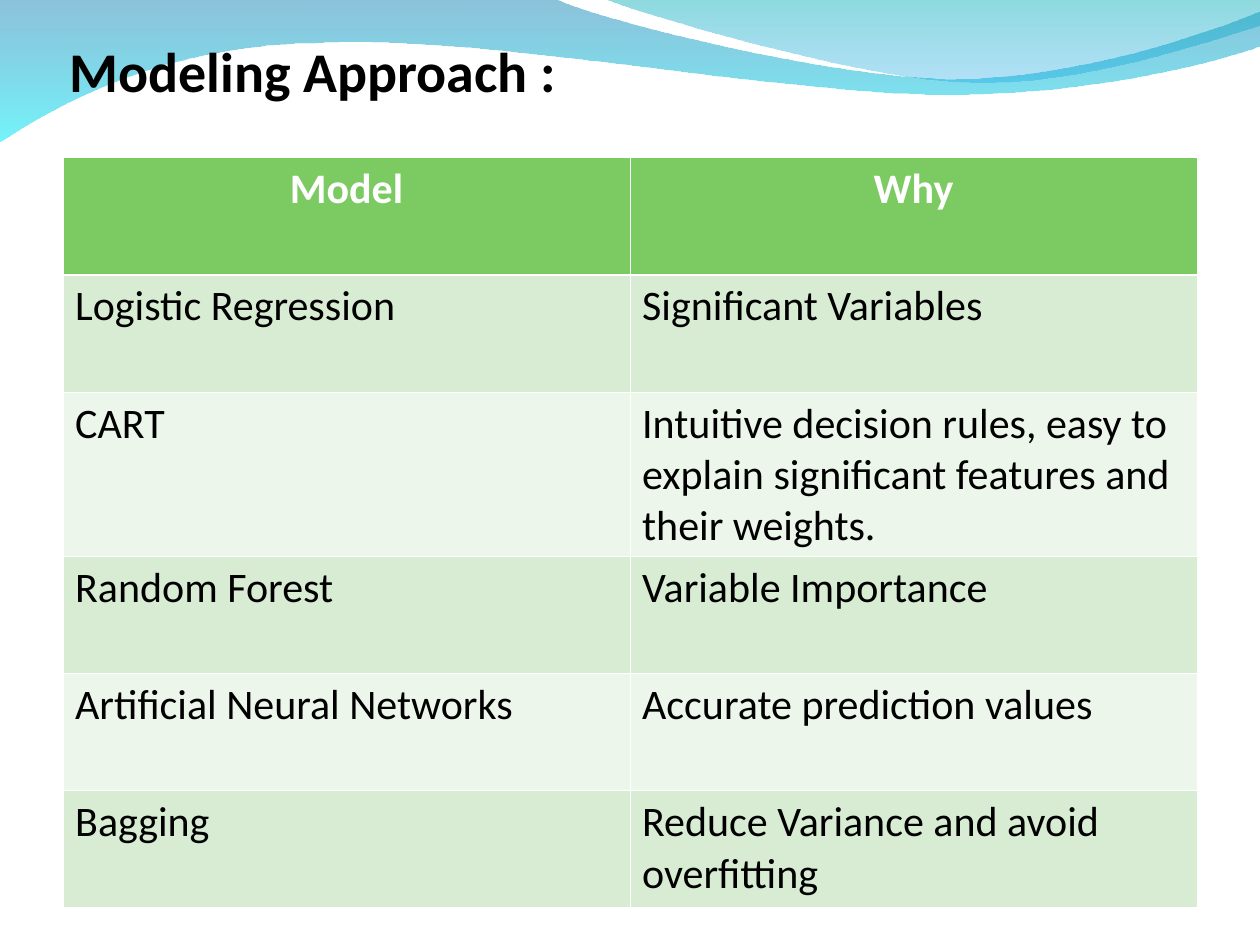
"""Build the modeling approach slide: a title and a model table under a wave band."""
from dataclasses import dataclass

from lxml.etree import SubElement
from pptx import Presentation
from pptx.dml.color import RGBColor as Color
from pptx.enum.text import MSO_ANCHOR as Anchor, MSO_AUTO_SIZE as AutoSize, PP_ALIGN as Align
from pptx.oxml.ns import qn
from pptx.util import Pt


@dataclass(frozen=True)
class Theme:
    font: str = "Calibri"
    title_size: int = 32
    cell_size: int = 24
    text: str = "000000"
    white: str = "FFFFFF"
    header: str = "7CCA62"
    bands: tuple = ("D7ECD3", "ECF6EA")
    long_wave: tuple = (("0079AF", 45), ("00EBF8", 55))
    short_wave: tuple = (("00ADB6", 45), ("009BE5", 30))


def style_text(paragraph, size, color, bold, align):
    paragraph.alignment = align
    for span in paragraph.runs:
        span.font.name = theme.font
        span.font.size = Pt(size)
        span.font.bold = bold
        span.font.color.rgb = Color.from_string(color)


def bend_outline(outline, segments):
    corners = iter(outline.findall(qn("a:lnTo")))
    for segment in segments:
        nodes = [next(corners) for point in segment]
        if len(nodes) == 3:
            curve = SubElement(outline, qn("a:cubicBezTo"))
            nodes[0].addprevious(curve)
            for node in nodes:
                curve.append(node[0])
                outline.remove(node)


theme = Theme()
deck = Presentation()
deck.slide_width, deck.slide_height = Pt(720), Pt(540)
page = deck.slides.add_slide(deck.slide_layouts[5])

waves = [
    (theme.long_wave, (0, -0.7), [
        [(317, -0.7)],
        [(343, 12), (478, 45), (546, 45)],
        [(614, 45), (690, 19), (720, 6.5)],
        [(720.7, 26)],
        [(708, 32), (626, 55), (537, 54)],
        [(447, 54), (275, 20), (185, 24.5)],
        [(93, 25), (33, 60), (-0.7, 81.4)],
    ]),
    (theme.short_wave, (345, -0.7), [
        [(366, 8), (491, 45), (554, 47)],
        [(617, 49.7), (692, 23), (720, 15)],
        [(720, 0)],
    ]),
]
for stops, start, segments in waves:
    corners = [(Pt(x), Pt(y)) for segment in segments for x, y in segment]
    builder = page.shapes.build_freeform(Pt(start[0]), Pt(start[1]))
    builder.add_line_segments(corners, close=True)
    wave = builder.convert_to_shape()
    bend_outline(next(wave.element.iter(qn("a:path"))), segments)
    wave.shadow.inherit = False
    wave.line.fill.background()
    wave.fill.gradient()
    wave.fill.gradient_angle = 270
    for stop, (color, opacity) in zip(wave.fill.gradient_stops, stops):
        stop.color.rgb = Color.from_string(color)
    for node, (color, opacity) in zip(wave.element.iter(qn("a:srgbClr")), stops):
        SubElement(node, qn("a:alpha"), val=str(opacity * 1000))

title = page.shapes.title
page.shapes.element.append(title.element)
title.left, title.top, title.width, title.height = Pt(32.5), Pt(17.5), Pt(654), Pt(161.5)
title.text_frame.text = "Modeling Approach :"
title.text_frame.word_wrap = True
title.text_frame.auto_size = AutoSize.NONE
title.text_frame.vertical_anchor = Anchor.TOP
style_text(title.text_frame.paragraphs[0], theme.title_size, theme.text, True, Align.LEFT)

models = [
    ("Model", "Why"),
    ("Logistic Regression", "Significant Variables"),
    ("CART", "Intuitive decision rules, easy to explain significant features and their weights."),
    ("Random Forest", "Variable Importance"),
    ("Artificial Neural Networks", "Accurate prediction values"),
    ("Bagging", "Reduce Variance and avoid overfitting"),
]
row_heights = [67, 67, 93.5, 67, 67, 67]
table = page.shapes.add_table(
    len(models), 2, Pt(36), Pt(90), Pt(648), Pt(sum(row_heights))
).table
for column in table.columns:
    column.width = Pt(324)

for index, (words, height) in enumerate(zip(models, row_heights)):
    table.rows[index].height = Pt(height)
    is_header = index == 0
    fill = theme.header if is_header else theme.bands[(index - 1) % 2]
    color = theme.white if is_header else theme.text
    align = Align.CENTER if is_header else Align.LEFT
    thick_side = {0: "lnB", 1: "lnT"}.get(index)
    for cell, word in zip(table.rows[index].cells, words):
        cell.text_frame.text = word
        style_text(cell.text_frame.paragraphs[0], theme.cell_size, color, is_header, align)
        cell.margin_left = cell.margin_right = Pt(7)
        cell.margin_bottom = Pt(2.4)
        properties = cell._tc.get_or_add_tcPr()
        for side in ("lnL", "lnR", "lnT", "lnB"):
            width = Pt(1.5 if side == thick_side else 0.45)
            border = SubElement(properties, qn(f"a:{side}"), w=str(width))
            paint = SubElement(border, qn("a:solidFill"))
            SubElement(paint, qn("a:srgbClr"), val=theme.white)
        cell.fill.solid()
        cell.fill.fore_color.rgb = Color.from_string(fill)

deck.save("out.pptx")
